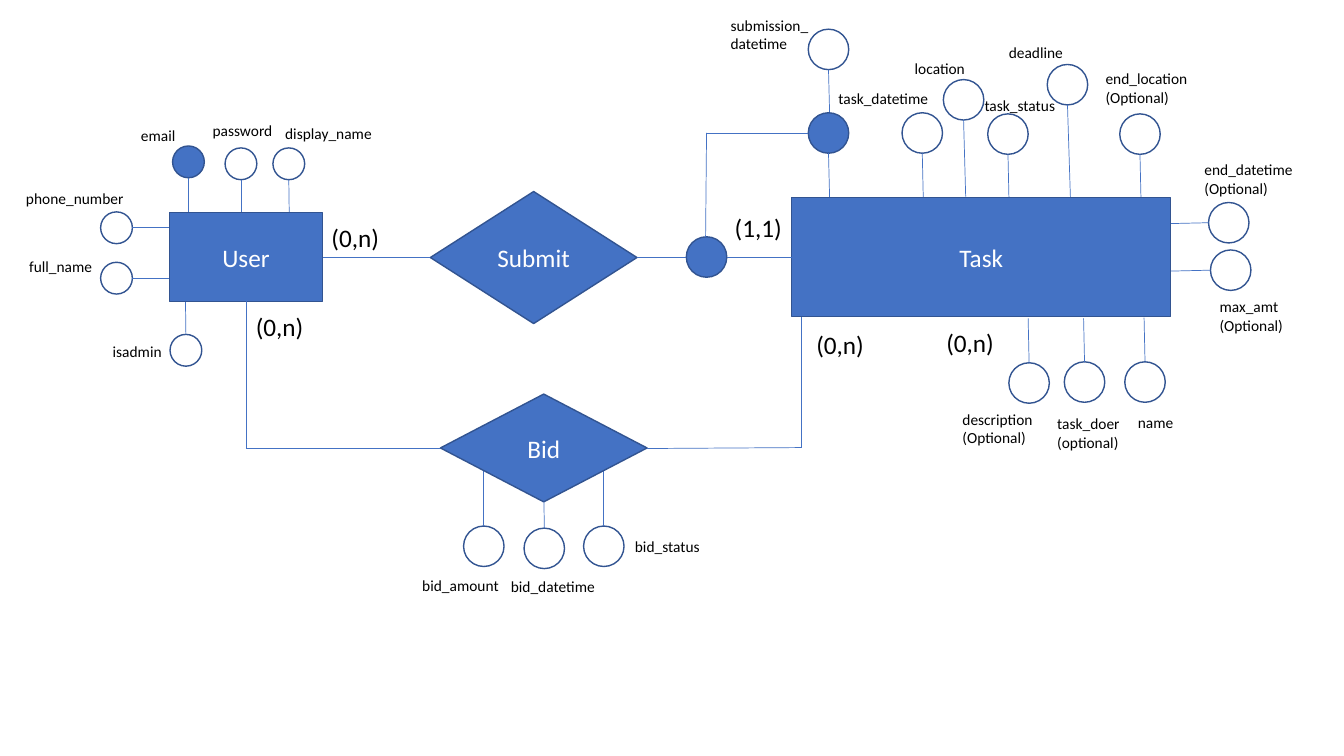
from pptx import Presentation
from pptx.dml.color import RGBColor
from pptx.enum.shapes import MSO_CONNECTOR, MSO_SHAPE
from pptx.enum.text import MSO_ANCHOR, PP_ALIGN
from pptx.util import Pt
from lxml import etree

BLUE = RGBColor(0x44, 0x72, 0xC4)
DARK_BLUE = RGBColor(0x32, 0x54, 0x91)
WHITE = RGBColor(0xFF, 0xFF, 0xFF)
BLACK = RGBColor(0, 0, 0)
OVAL, BOX, DIAMOND = MSO_SHAPE.OVAL, MSO_SHAPE.RECTANGLE, MSO_SHAPE.DIAMOND
STRAIGHT = MSO_CONNECTOR.STRAIGHT
CENTER, MIDDLE = PP_ALIGN.CENTER, MSO_ANCHOR.MIDDLE
DRAWING_NS = "http://schemas.openxmlformats.org/drawingml/2006/main"
BLANK_LAYOUT = 6
SMALL, LARGE = 22.7, 28.9  # attribute circle diameters


class ErDiagram:
    """Draws entity-relationship elements on one slide, in points."""

    font_name = "Calibri"
    heading_size = 18
    label_size = 11

    def __init__(self, slide):
        """Keep the slide to draw on."""
        self.shapes = slide.shapes

    def styled_run(self, frame, text, size, color):
        """Put one styled run into a text frame."""
        run = frame.paragraphs[0].add_run()
        run.text = text
        run.font.name = self.font_name
        run.font.size = Pt(size)
        run.font.color.rgb = color

    def outline(self, kind, left, top, width, height, filled=True):
        """Add a preset shape in the diagram's colours."""
        shape = self.shapes.add_shape(kind, Pt(left), Pt(top), Pt(width), Pt(height))
        shape.shadow.inherit = False
        if filled:
            shape.fill.solid()
            shape.fill.fore_color.rgb = BLUE
        else:
            shape.fill.background()
        shape.line.color.rgb = DARK_BLUE
        shape.line.width = Pt(1)
        return shape

    def node(self, kind, name, left, top, width, height):
        """Add an entity box or a relationship diamond with its name."""
        frame = self.outline(kind, left, top, width, height).text_frame
        frame.vertical_anchor = MIDDLE
        frame.paragraphs[0].alignment = CENTER
        self.styled_run(frame, name, self.heading_size, WHITE)

    def circle(self, x, y, diameter, filled=False):
        """Add a circle around a centre point."""
        radius = diameter / 2
        self.outline(OVAL, x - radius, y - radius, diameter, diameter, filled)

    def connect(self, *points):
        """Join consecutive points with straight lines."""
        for start, end in zip(points, points[1:]):
            line = self.shapes.add_connector(STRAIGHT, *map(Pt, start + end))
            line.line.color.rgb = BLUE
            line.line.width = Pt(0.5)
            etree.SubElement(line._element.spPr, f"{{{DRAWING_NS}}}effectLst")

    def label(self, text, left, top, width, size=label_size):
        """Add a wrapping text label."""
        box = self.shapes.add_textbox(Pt(left), Pt(top), Pt(width), Pt(size * 1.9))
        box.text_frame.word_wrap = True
        self.styled_run(box.text_frame, text, size, BLACK)

    def attribute(self, x, y, end, diameter, filled=False):
        """Add an attribute circle and the line from its rim to its owner."""
        self.circle(x, y, diameter, filled)
        across, down = end[0] - x, end[1] - y
        radius = diameter / 2
        if abs(across) > abs(down):
            rim = (x + (radius if across > 0 else -radius), y)
        else:
            rim = (x, y + (radius if down > 0 else -radius))
        self.connect(rim, end)


# name, circle centre, line end, label left / top / width
USER_ATTRIBUTES = [
    ("phone_number", 83.2, 162.7, (123, 162.7), 11.5, 131.8, 96.5),
    ("full_name", 83.2, 198.7, (123, 198.7), 13.7, 180, 113.8),
    ("password", 172.1, 117, (172.1, 170), 144.7, 82.8, 72.7),
    ("display_name", 206.3, 117, (206.6, 152), 196.6, 85, 88.6),
    ("isadmin", 132.8, 250.2, (132.5, 215.3), 73.4, 240.5, 113.8),
]
TASK_ATTRIBUTES = [
    ("submission_ datetime", 591.8, 35.3, (592.6, 80.6), 514.8, 7.9, 79.2),
    ("task_datetime", 658.8, 95, (659.5, 141.1), 591.8, 59.8, 82.8),
    ("location", 688.3, 71.3, (689.8, 140.4), 646.3, 38.9, 69.1),
    ("task_status", 720, 95.8, (720.7, 141.8), 696.2, 64.8, 69.8),
    ("deadline", 762.5, 60.5, (764.6, 141.1), 713.5, 27.4, 55.4),
    ("end_location (Optional)", 814.3, 95.8, (815, 141.8), 782.6, 46.1, 92.2),
    ("end_datetime (Optional)", 877.7, 159.1, (832.3, 159.8), 853.2, 110.9, 82.8),
    ("max_amt (Optional)", 879.1, 193, (833.8, 193.7), 864, 208.8, 72.7),
    ("description (Optional)", 735.1, 273.6, (734.4, 227.5), 680.4, 289.4, 84.2),
    ("task_doer (optional)", 774.7, 272.9, (774, 227.5), 748.1, 292.3, 84.2),
    ("name", 817.9, 272.9, (817.2, 226.8), 805.7, 291.6, 84.2),
]
BID_ATTRIBUTES = [
    ("bid_amount", 345.6, 390.2, (345.6, 329), 294.5, 408.2, 78.5),
    ("bid_datetime", 388.8, 391.7, (388.4, 345.6), 357.8, 409, 78.5),
    ("bid_status", 431.3, 390.2, (431.3, 320.4), 446.4, 380.2, 78.5),
]
NODES = [
    (BOX, "User", 121, 151.9, 109.4, 63.4),
    (BOX, "Task", 565.6, 141.1, 270.7, 85),
    (DIAMOND, "Submit", 307.4, 136.8, 147.6, 94.3),
    (DIAMOND, "Bid", 314.6, 281.5, 147.6, 77),
]
CARDINALITIES = [
    ("(0,n)", 229.7, 155.5), ("(1,1)", 517.7, 148.3), ("(0,n)", 175.7, 218.9),
    ("(0,n)", 576, 231.8), ("(0,n)", 668.9, 230.4),
]
LINKS = [
    [(230.4, 183.6), (307.4, 183.6)],
    [(455, 183.6), (490.3, 183.6)],
    [(519.2, 183.6), (565.6, 183.6)],
    [(577.4, 95), (504.7, 95), (504, 169.2)],
    [(175.7, 215.3), (175.7, 320.4), (314.6, 320.4)],
    [(462.2, 320.4), (572.4, 319.7), (572.4, 226.1)],
]

presentation = Presentation()
presentation.slide_width, presentation.slide_height = Pt(960), Pt(540)
diagram = ErDiagram(
    presentation.slides.add_slide(presentation.slide_layouts[BLANK_LAYOUT]))

for owner_attributes, diameter in (
        (USER_ATTRIBUTES, SMALL), (TASK_ATTRIBUTES, LARGE), (BID_ATTRIBUTES, LARGE)):
    for name, x, y, end, left, top, width in owner_attributes:
        diagram.attribute(x, y, end, diameter)
        diagram.label(name, left, top, width)

# Key attributes are filled
diagram.attribute(134.6, 115.6, (134.6, 152), SMALL, filled=True)
diagram.label("email", 93.6, 86.4, 72.7)
diagram.attribute(591.8, 95, (592.6, 141.1), LARGE, filled=True)
diagram.circle(504.7, 183.6, LARGE, filled=True)

for node in NODES:
    diagram.node(*node)
for link in LINKS:
    diagram.connect(*link)
for cardinality, left, top in CARDINALITIES:
    diagram.label(cardinality, left, top, 77, diagram.heading_size)

presentation.save("out.pptx")
